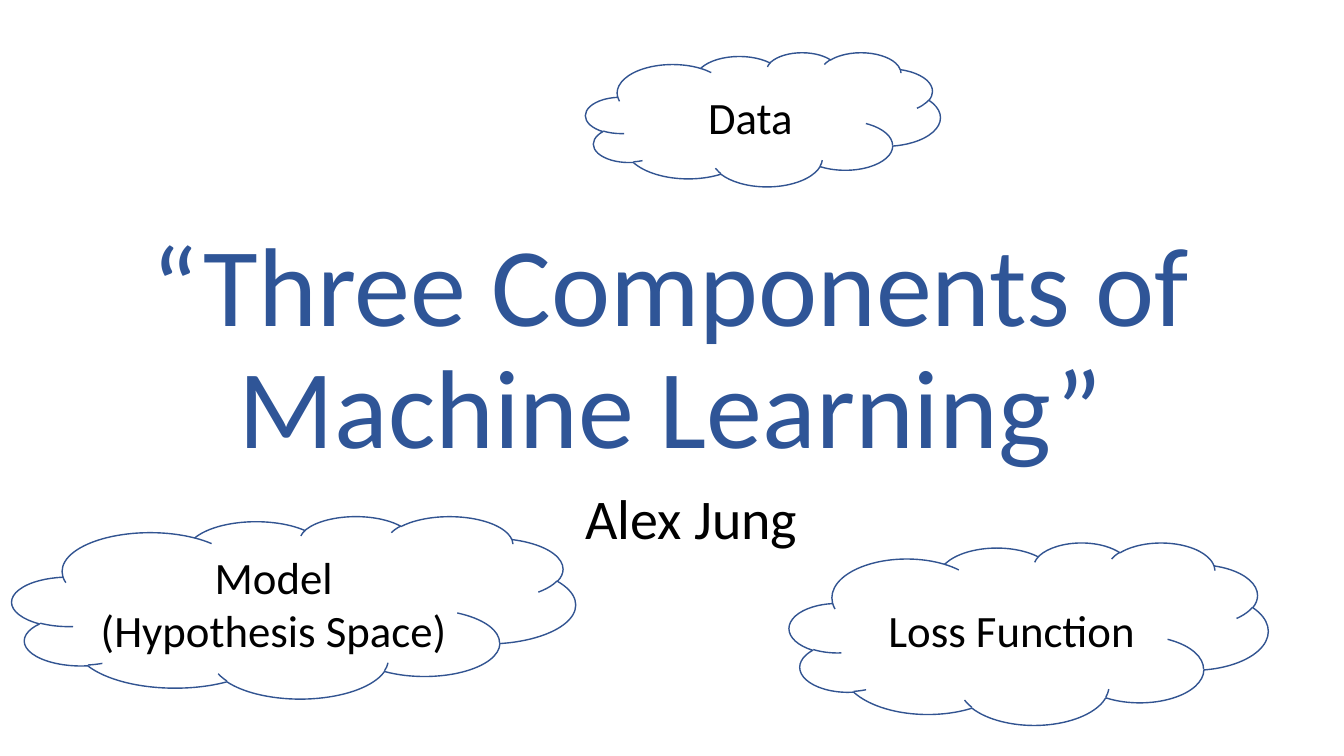
from pptx import Presentation
from pptx.dml.color import RGBColor
from pptx.enum.shapes import MSO_SHAPE
from pptx.enum.text import MSO_ANCHOR, MSO_AUTO_SIZE, PP_ALIGN
from pptx.util import Pt

COLORS = {"title": "2F5597", "text": "000000", "line": "325491"}


def write(frame, lines, size, color, align):
    """Fill a text frame with one paragraph per line."""
    for i, line in enumerate(lines):
        para = frame.paragraphs[0] if i == 0 else frame.add_paragraph()
        para.text = line
        para.alignment = align
        para.font.name = "Calibri"
        para.font.size = Pt(size)
        para.font.color.rgb = RGBColor.from_string(COLORS[color])


deck = Presentation()
deck.slide_width, deck.slide_height = Pt(960), Pt(540)
slide = deck.slides.add_slide(deck.slide_layouts[6])
shapes = slide.shapes

# Title
title = shapes.add_textbox(Pt(49), Pt(168.5), Pt(861), Pt(183.6)).text_frame
title.word_wrap = True
write(title, ["“Three Components of", "Machine Learning”"], 80, "title", PP_ALIGN.CENTER)
for para in title.paragraphs:
    para.line_spacing = 0.8
title.paragraphs[1].space_before = Pt(10)

# Author
author = shapes.add_textbox(Pt(411), Pt(342), Pt(168), Pt(55.5)).text_frame
author.word_wrap = False
author.auto_size = MSO_AUTO_SIZE.SHAPE_TO_FIT_TEXT
write(author, ["Alex Jung"], 40, "text", PP_ALIGN.LEFT)

# Clouds: left, top, width, height, lines
clouds = [
    (418.3, 37.4, 253.4, 95.8, ["Data"]),
    (8.6, 368.6, 402.5, 130.3, ["Model", "(Hypothesis Space)"]),
    (563.8, 387.4, 342, 130.3, ["Loss Function"]),
]
for left, top, width, height, lines in clouds:
    cloud = shapes.add_shape(MSO_SHAPE.CLOUD, Pt(left), Pt(top), Pt(width), Pt(height))
    cloud.shadow.inherit = False
    cloud.fill.background()
    cloud.line.color.rgb = RGBColor.from_string(COLORS["line"])
    cloud.line.width = Pt(1)
    cloud.text_frame.word_wrap = True
    cloud.text_frame.vertical_anchor = MSO_ANCHOR.MIDDLE
    write(cloud.text_frame, lines, 32, "text", PP_ALIGN.CENTER)

deck.save("out.pptx")
